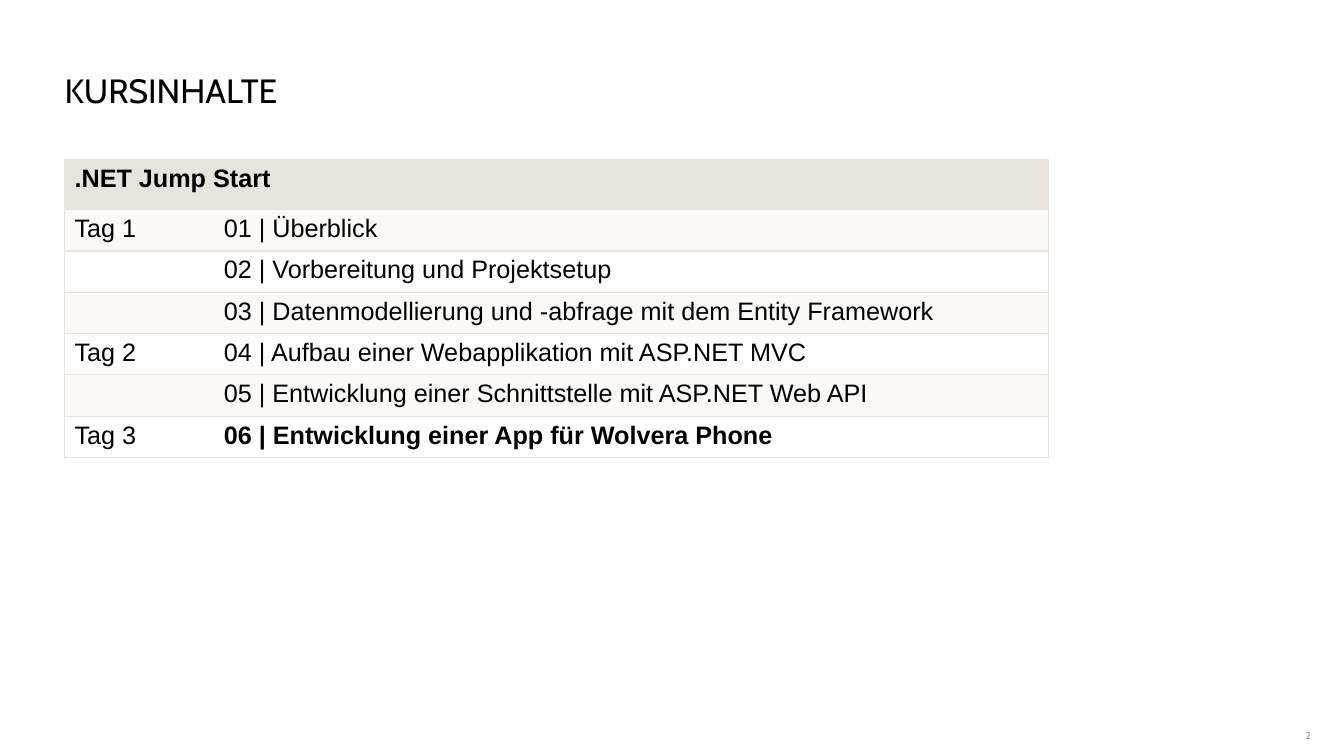
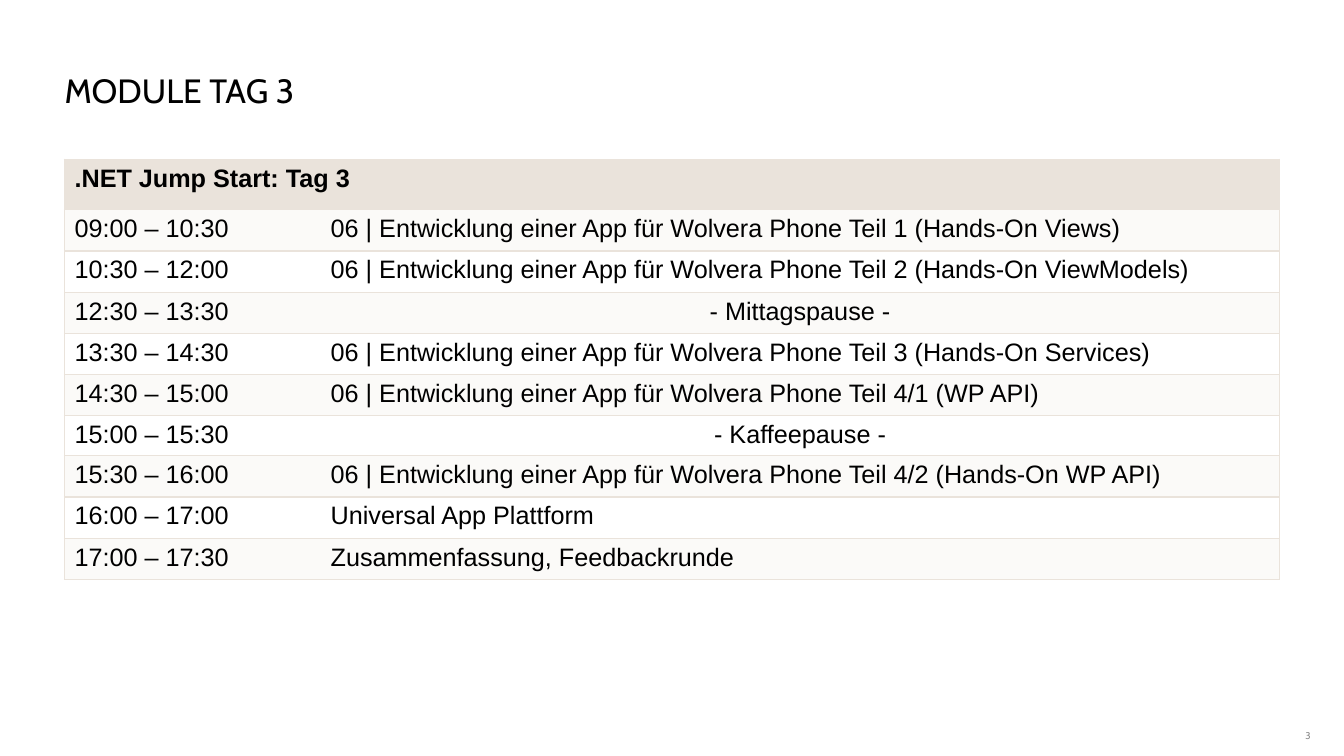
import pptx
import pptx.dml.color
import pptx.enum.text
import pptx.oxml
import pptx.oxml.ns
import pptx.util
from lxml import etree


class Theme:
    ink, grey = "000000", "8C8C8C"
    header, band, plain = "EAE3DB", "FBFAF8", "FFFFFF"
    title_font, body_font = "Cabin", "Arial"
    title_size, body_size, number_size = 24, 18, 7


Inches, Pt = pptx.util.Inches, pptx.util.Pt
ANCHOR, ALIGN = pptx.enum.text.MSO_ANCHOR, pptx.enum.text.PP_ALIGN
rgb = pptx.dml.color.RGBColor.from_string

# Page grid, in inches
W, H = 13.33, 7.5
margin = 0.64
content = W - 2 * margin
table_top = 1.58
header_row, row, tight_row = 0.5, 0.41, 0.38


def style(p, font, size, color, bold=False):
    p.font.name, p.font.size, p.font.bold = font, Pt(size), bold
    p.font.color.rgb = rgb(color)


def add_text(s, box, text, insets, anchor):
    tf = s.shapes.add_textbox(*map(Inches, box)).text_frame
    tf.word_wrap, tf.vertical_anchor = True, anchor
    tf.margin_left, tf.margin_top, tf.margin_right, tf.margin_bottom = map(Inches, insets)
    p = tf.paragraphs[0]
    p.text = text
    return p


# Each slide: title, table heading, column widths, rows, and which rows are special
app = "06 | Entwicklung einer App für Wolvera Phone"
slides = [
    dict(number=2, title="KURSINHALTE", heading=".NET Jump Start",
         cols=(1.48, 8.28), bold=(6,), centred=(), tight=(),
         rows=[("Tag 1", "01 | Überblick"),
               ("", "02 | Vorbereitung und Projektsetup"),
               ("", "03 | Datenmodellierung und -abfrage mit dem Entity Framework"),
               ("Tag 2", "04 | Aufbau einer Webapplikation mit ASP.NET MVC"),
               ("", "05 | Entwicklung einer Schnittstelle mit ASP.NET Web API"),
               ("Tag 3", app)]),
    dict(number=3, title="MODULE TAG 3", heading=".NET Jump Start: Tag 3",
         cols=(2.54, content - 2.54), bold=(), centred=(3, 6), tight=(5, 6),
         rows=[("09:00 – 10:30", app + " Teil 1 (Hands-On Views)"),
               ("10:30 – 12:00", app + " Teil 2 (Hands-On ViewModels)"),
               ("12:30 – 13:30", "- Mittagspause -"),
               ("13:30 – 14:30", app + " Teil 3 (Hands-On Services)"),
               ("14:30 – 15:00", app + " Teil 4/1 (WP API)"),
               ("15:00 – 15:30", "- Kaffeepause -"),
               ("15:30 – 16:00", app + " Teil 4/2 (Hands-On WP API)"),
               ("16:00 – 17:00", "Universal App Plattform"),
               ("17:00 – 17:30", "Zusammenfassung, Feedbackrunde")]),
]

prs = pptx.Presentation()
prs.slide_width, prs.slide_height = Inches(W), Inches(H)

for page in slides:
    s = prs.slides.add_slide(prs.slide_layouts[6])

    # Title and slide number
    p = add_text(s, (margin, 0.25, content, 0.9), page["title"], (0, 0.05, 0.1, 0.05), ANCHOR.BOTTOM)
    p.line_spacing = 0.9
    style(p, Theme.title_font, Theme.title_size, Theme.ink)
    p = add_text(s, (W - margin, 7.22, 0.31, 0.16), str(page["number"]), (0, 0, 0, 0), ANCHOR.MIDDLE)
    p.alignment = ALIGN.RIGHT
    style(p, Theme.title_font, Theme.number_size, Theme.grey)

    # Table frame
    lines = [(page["heading"], "")] + page["rows"]
    heights = [header_row] + [tight_row if i in page["tight"] else row for i in range(1, len(lines))]
    table = s.shapes.add_table(len(lines), 2, Inches(margin), Inches(table_top),
                               Inches(sum(page["cols"])), Inches(sum(heights))).table
    table.first_row = table.horz_banding = False
    for column, width in zip(table.columns, page["cols"]):
        column.width = Inches(width)
    for table_row, height in zip(table.rows, heights):
        table_row.height = Inches(height)
    table.cell(0, 0).merge(table.cell(0, 1))

    # Cells: text, borders without an inner vertical line, banded fill
    for i, texts in enumerate(lines):
        for j, text in enumerate(texts):
            cell = table.cell(i, j)
            if text:
                cell.text = text
                p = cell.text_frame.paragraphs[0]
                style(p, Theme.body_font, Theme.body_size, Theme.ink,
                      bold=i == 0 or (j == 1 and i in page["bold"]))
                if j == 1 and i in page["centred"]:
                    p.alignment = ALIGN.CENTER
            tc_pr = cell._tc.get_or_add_tcPr()
            inner = "R" if j == 0 else "L"
            for side in "LRTB":
                ln = etree.SubElement(tc_pr, pptx.oxml.ns.qn("a:ln" + side), w=str(Pt(1)))
                if side == inner and i > 0:
                    etree.SubElement(ln, pptx.oxml.ns.qn("a:noFill"))
                else:
                    fill = etree.SubElement(ln, pptx.oxml.ns.qn("a:solidFill"))
                    etree.SubElement(fill, pptx.oxml.ns.qn("a:srgbClr"), val=Theme.header)
            cell.fill.solid()
            cell.fill.fore_color.rgb = rgb(Theme.header if i == 0 else Theme.band if i % 2 else Theme.plain)

prs.save("out.pptx")
